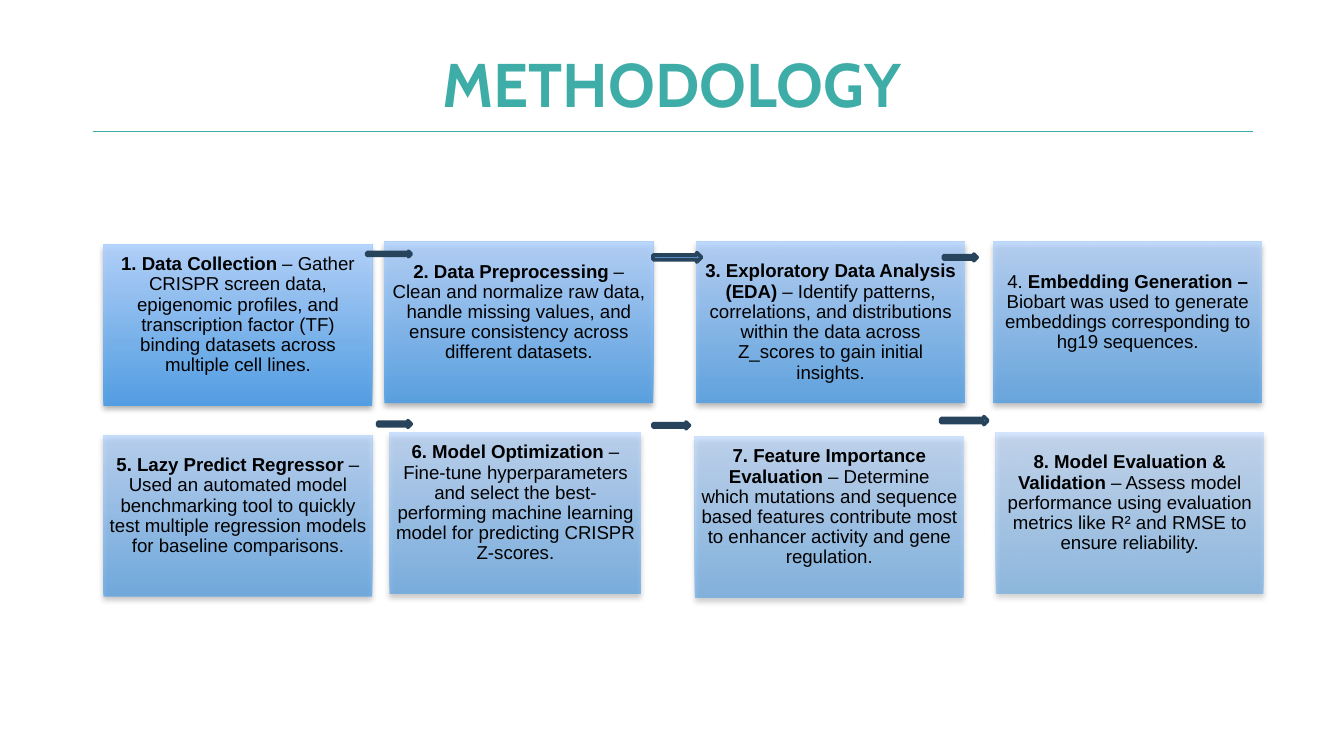
from dataclasses import dataclass

import pptx
import pptx.dml.color
import pptx.enum.shapes
import pptx.enum.text
import pptx.oxml
import pptx.oxml.ns
import pptx.util
from pptx.util import Inches

Rgb = pptx.dml.color.RGBColor
Kind = pptx.enum.shapes.MSO_SHAPE
qn = pptx.oxml.ns.qn


@dataclass(frozen=True)
class Theme:
    title: Rgb = Rgb.from_string("3EADA7")
    rule: Rgb = Rgb.from_string("3DACA7")
    text: Rgb = Rgb.from_string("000000")
    deep: Rgb = Rgb.from_string("499CE7")
    pale: Rgb = Rgb.from_string("B0D2FF")
    arrow: Rgb = Rgb.from_string("5B9BD5")
    edge: Rgb = Rgb.from_string("28445D")
    head_font: str = "Cabin"
    body_font: str = "Arial"
    head_size: int = 33
    body_size: int = 10


@dataclass(frozen=True)
class Card:
    left: float
    top: float
    width: float
    text: str
    base: float = 0.19


@dataclass(frozen=True)
class Arrow:
    left: float
    top: float
    width: float
    height: float


THEME = Theme()
HIGH = 1.2
HARD = chr(160)
CARDS = [
    Card(0.77, 1.82, 2, "|1. Data Collection| – Gather CRISPR screen data, epigenomic profiles, "
         "and transcription factor (TF) binding datasets across multiple cell lines."),
    Card(2.86, 1.8, 2, "|2. Data Preprocessing| – Clean and normalize raw data, handle missing "
         "values, and ensure consistency across different datasets."),
    Card(5.18, 1.8, 2, "|3. Exploratory Data Analysis (EDA)| – Identify patterns, correlations, "
         "and distributions within the data across Z_scores to gain initial insights.", 0.04),
    Card(7.39, 1.8, 2, "4. |Embedding Generation – |Biobart was used to generate embeddings "
         "corresponding to hg19 sequences."),
    Card(0.77, 3.24, 2, "|5. Lazy Predict Regressor| – Used an automated model benchmarking tool "
         "to quickly test multiple regression models for baseline comparisons."),
    Card(2.9, 3.22, 1.87, "|6. Model Optimization| – Fine-tune hyperparameters and select the "
         "best-performing machine learning model for predicting CRISPR Z-scores."),
    Card(5.17, 3.25, 2, "|7. Feature Importance Evaluation| – Determine "
         f"which{HARD}mutations and sequence based features contribute most to enhancer "
         "activity and gene regulation."),
    Card(7.41, 3.22, 1.99, "|8. Model Evaluation & Validation| – Assess model performance using "
         "evaluation metrics like R² and RMSE to ensure reliability."),
]
ARROWS = [
    Arrow(2.73, 1.87, 0.33, 0.04),
    Arrow(4.86, 1.88, 0.36, 0.07),
    Arrow(7.02, 1.89, 0.25, 0.05),
    Arrow(2.81, 3.13, 0.25, 0.05),
    Arrow(4.86, 3.14, 0.27, 0.05),
    Arrow(7, 3.1, 0.35, 0.06),
]


def apply(item: object, form: dict) -> None:
    for key, value in form.items():
        setattr(item, key, value)


def node(text: str):
    return pptx.oxml.parse_xml(text.replace(" ", f' {pptx.oxml.ns.nsdecls("a")} ', 1))


def write(shape, text: str, side: float, base: float, form: dict, tint: Rgb) -> None:
    frame = shape.text_frame
    apply(frame, {
        "word_wrap": True,
        "auto_size": pptx.enum.text.MSO_AUTO_SIZE.NONE,
        "vertical_anchor": pptx.enum.text.MSO_ANCHOR.MIDDLE,
        "margin_left": Inches(side),
        "margin_right": Inches(side),
        "margin_top": Inches(0.04),
        "margin_bottom": Inches(base),
    })
    para = frame.paragraphs[0]
    apply(para, {"alignment": pptx.enum.text.PP_ALIGN.CENTER, "line_spacing": 0.9})
    for spot, part in enumerate(text.split("|")):
        if part:
            run = para.add_run()
            run.text = part
            apply(run.font, {**form, "bold": spot % 2 == 1})
            run.font.color.rgb = tint


def add_title(slide) -> None:
    title = slide.shapes.title
    apply(title, {"left": Inches(0.69), "top": Inches(0.3),
                  "width": Inches(8.62), "height": Inches(0.7)})
    form = {"name": THEME.head_font, "size": pptx.util.Pt(THEME.head_size)}
    write(title, "|METHODOLOGY|", 0.07, 0.04, form, THEME.title)


def add_rule(slide) -> None:
    rule = slide.shapes.add_connector(
        pptx.enum.shapes.MSO_CONNECTOR.STRAIGHT,
        Inches(0.69), Inches(0.98), Inches(9.32), Inches(0.98))
    rule.line.color.rgb = THEME.rule
    rule.line.width = pptx.util.Pt(0.75)
    rule.element.spPr.append(node("<a:effectLst />"))


def add_card(slide, card: Card, alpha: int) -> None:
    place = [Inches(size) for size in (card.left, card.top, card.width, HIGH)]
    box = slide.shapes.add_shape(Kind.RECTANGLE, *place)
    box.line.fill.background()
    box.fill.gradient()
    box.fill.gradient_angle = 90
    for stop, tint in zip(box.fill.gradient_stops, (THEME.deep, THEME.pale)):
        stop.color.rgb = tint
    props = box.element.spPr
    for tint in props.iter(qn("a:srgbClr")):
        tint.append(node(f'<a:alpha val="{alpha * 1000}"/>'))
    box.shadow.inherit = False
    props.find(qn("a:effectLst")).append(node(
        f'<a:outerShdw blurRad="{pptx.util.Pt(3.1)}" '
        f'dist="{pptx.util.Pt(1.8)}" dir="5400000" rotWithShape="0">'
        '<a:srgbClr val="000000"><a:alpha val="35000"/></a:srgbClr></a:outerShdw>'))
    form = {"name": THEME.body_font, "size": pptx.util.Pt(THEME.body_size)}
    label = slide.shapes.add_textbox(*place)
    write(label, card.text, 0.04, card.base, form, THEME.text)


def add_arrow(slide, arrow: Arrow) -> None:
    shape = slide.shapes.add_shape(Kind.RIGHT_ARROW, Inches(arrow.left), Inches(arrow.top),
                                   Inches(arrow.width), Inches(arrow.height))
    shape.shadow.inherit = False
    shape.fill.solid()
    shape.fill.fore_color.rgb = THEME.arrow
    shape.line.color.rgb = THEME.edge
    shape.line.width = pptx.util.Pt(2)


def main() -> None:
    deck = pptx.Presentation()
    apply(deck, {"slide_width": Inches(10), "slide_height": Inches(10) * 9 // 16})
    slide = deck.slides.add_slide(deck.slide_layouts[5])
    add_rule(slide)
    for spot, card in enumerate(CARDS):
        add_card(slide, card, round(90 - 40 * spot / (len(CARDS) - 1)))
    add_title(slide)
    for arrow in ARROWS:
        add_arrow(slide, arrow)
    deck.save("out.pptx")


if __name__ == "__main__":
    main()
